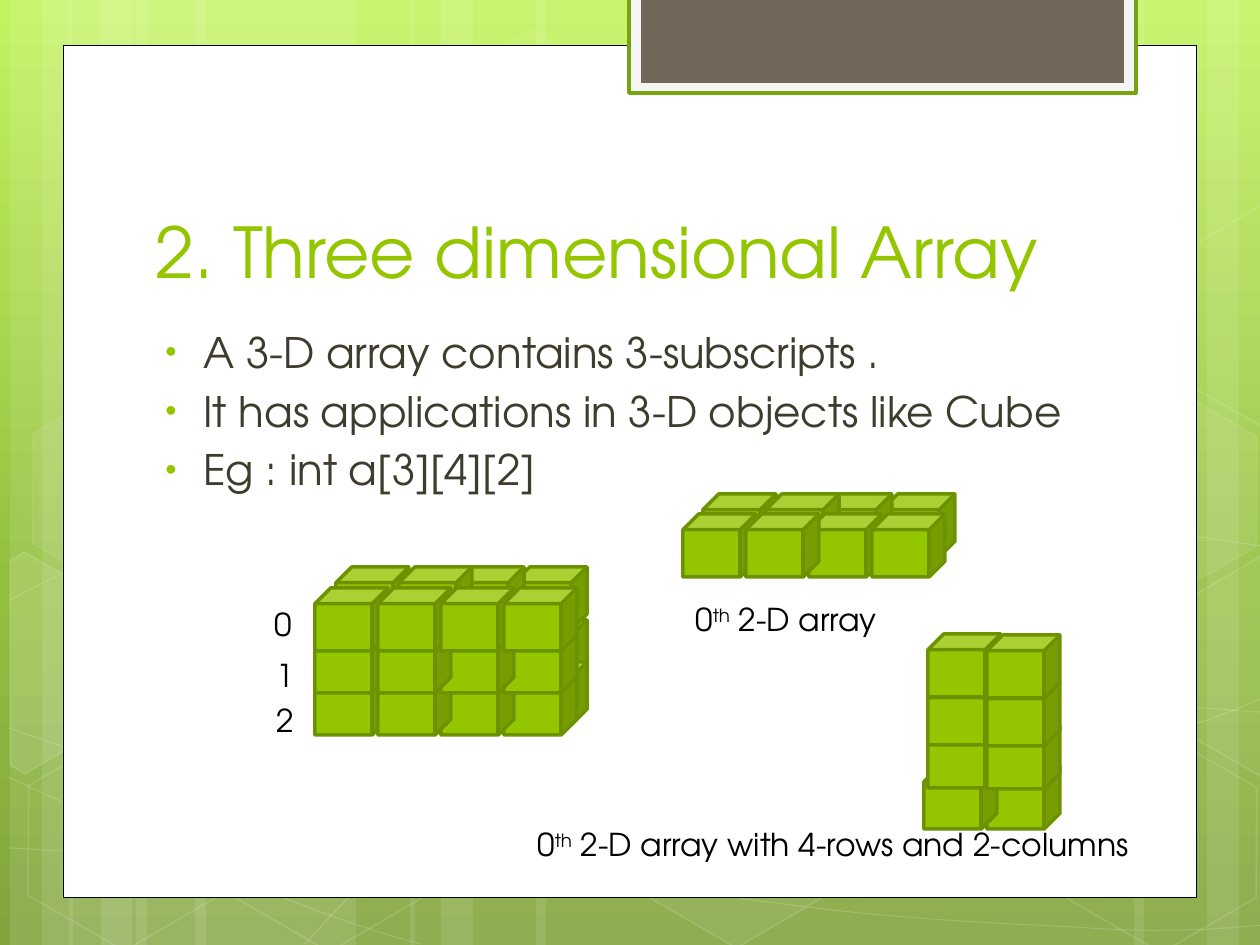
"""Build the three dimensional array slide."""
import copy
import dataclasses
import itertools
import math
import typing

import lxml.etree
import pptx
import pptx.dml.color
import pptx.enum.shapes
import pptx.enum.text
import pptx.oxml.ns
import pptx.util

PX = 914400 / 126
TILT = 30
SHAPE = pptx.enum.shapes.MSO_SHAPE
ANCHOR = pptx.enum.text.MSO_ANCHOR
Point = tuple[float, float]


@dataclasses.dataclass(frozen=True)
class Theme:
    """Colours, font and type sizes."""
    font: str = "TeX Gyre Adventor"
    title: float = 40
    body: float = 24
    label: float = 18
    green: str = "94C600"
    edge: str = "6D9200"
    frame: str = "74A510"
    taupe: str = "71685A"
    pale: str = "F5F5F5"
    ink: str = "3E3D2D"
    black: str = "000000"
    white: str = "FFFFFF"
    sky: tuple = ((0, "C3F35F"), (0.62, "93BF3F"), (1, "81A53E"))


class Box(typing.NamedTuple):
    """A rectangle in pixels."""
    x: int
    y: int
    w: int
    h: int


class Paint(typing.NamedTuple):
    """Fill and line, with opacities in percent."""
    fill: str | None = None
    line: str | None = None
    width: float = 1
    fill_alpha: int = 100
    line_alpha: int = 100


class Hexagon(typing.NamedTuple):
    """A tilted hexagon of the backdrop."""
    x: int
    y: int
    fill_alpha: int
    line_alpha: int


class CutHexagon(typing.NamedTuple):
    """A tilted hexagon trimmed at the slide edge."""
    center: Point
    pts: tuple
    fill_alpha: int


class Block(typing.NamedTuple):
    """Cubes at every crossing of the given columns and rows."""
    xs: tuple
    ys: tuple


class Label(typing.NamedTuple):
    """A caption and its place."""
    text: str
    box: Box


T = Theme()
BANDS = ((136, 220), (10, 63), (42, 105), (195, 220), (69, 63), (101, 105),
         (924, 220), (1207, 63), (1134, 105), (536, 388), (410, 63), (441, 105))
CURVES = (
    ((9, 848), (77, 852), (145, 856), (239, 854), (334, 853), (451, 850), (577, 838),
     (703, 825), (882, 802), (998, 777), (1113, 753), (1231, 716), (1269, 694)),
    ((9, 601), (45, 581), (82, 562), (152, 543), (224, 524), (326, 496), (437, 488),
     (549, 479), (685, 478), (824, 488), (963, 498), (1193, 537), (1269, 547)),
    ((8, 777), (160, 847), (311, 916), (421, 944)),
    ((9, 728), (48, 742), (88, 756), (161, 776), (234, 795), (344, 827), (450, 848),
     (554, 869), (687, 892), (791, 905), (896, 919), (1008, 924), (1075, 927),
     (1140, 932), (1158, 930), (1191, 930), (1223, 929), (1246, 926), (1269, 925)),
    ((305, 944), (328, 919), (350, 893), (381, 871), (411, 848), (454, 823), (489, 805),
     (524, 787), (545, 780), (592, 767), (638, 755), (722, 737), (766, 728),
     (811, 719), (818, 719), (857, 717), (896, 713), (958, 709), (1000, 708),
     (1045, 707), (1116, 708), (1116, 708), (1144, 708), (1173, 708), (1201, 708),
     (1223, 709), (1245, 712), (1256, 712), (1267, 712), (1264, 712), (1268, 713)),
)
HEXAGONS = (Hexagon(421, 45, 4, 8), Hexagon(626, 742, 6, 12), Hexagon(14, 745, 0, 12),
            Hexagon(18, 393, 7, 8), Hexagon(219, 746, 0, 12), Hexagon(949, 571, 10, 12),
            Hexagon(1051, 747, 0, 12), Hexagon(1051, 396, 7, 8))
CUT_HEXAGONS = (
    CutHexagon((45, 674), ((10, 561), (24, 552), (121, 607), (120, 718), (25, 774),
                           (10, 765)), 10),
    CutHexagon((1241, 655), ((1167, 611), (1261, 556), (1271, 562), (1271, 772),
                             (1263, 777), (1167, 722)), 4),
    CutHexagon((1241, 304), ((1167, 261), (1261, 205), (1272, 212), (1271, 422),
                             (1263, 427), (1167, 372)), 0),
)
BLOCKS = (
    Block((336,), (651, 609, 567)), Block((514,), (620,)),
    Block((315,), (672, 630, 588)), Block((514,), (662,)),
    Block((504, 441, 378), (672,)), Block((514, 451, 399), (567,)),
    Block((504, 441, 378), (630,)), Block((378, 441, 504), (588,)),
    Block((703,), (494,)), Block((683,), (514,)),
    Block((882, 819, 766), (494,)), Block((809, 872, 746), (514,)),
    Block((987, 924), (766,)), Block((928,), (725,)), Block((987,), (726,)),
    Block((928,), (682,)), Block((987,), (683,)),
    Block((928,), (634,)), Block((987,), (635,)),
)
LABELS = (Label("0", Box(262, 599, 43, 50)), Label("1", Box(264, 650, 43, 50)),
          Label("2", Box(264, 695, 43, 50)),
          Label("0^th^ 2-D array", Box(683, 594, 231, 50)),
          Label("0^th^ 2-D array with 4-rows and 2-columns", Box(525, 819, 646, 50)))
BULLETS = ("A 3-D array contains 3-subscripts .",
           "It has applications in 3-D objects like Cube", "Eg : int a[3][4][2]")


def rgb(color: str) -> pptx.dml.color.RGBColor:
    """Return a colour from its hex form."""
    return pptx.dml.color.RGBColor.from_string(color)


def emu(values: typing.Iterable[float]) -> list[int]:
    """Turn pixels into EMU."""
    return [round(v * PX) for v in values]


def sub(parent, tag: str, **attrs: str):
    """Append a drawing element."""
    return lxml.etree.SubElement(parent, pptx.oxml.ns.qn(tag), attrs)


def color_fill(fill, color: str, alpha: int, parent) -> None:
    """Set a solid fill with an opacity."""
    fill.solid()
    fill.fore_color.rgb = rgb(color)
    if alpha < 100:
        clr = parent.find(pptx.oxml.ns.qn("a:solidFill"))[0]
        sub(clr, "a:alpha", val=str(alpha * 1000))


def paint(sp, look: Paint) -> None:
    """Apply fill and line to a shape."""
    sp.shadow.inherit = False
    if look.fill and look.fill_alpha:
        color_fill(sp.fill, look.fill, look.fill_alpha, sp._element.spPr)
    else:
        sp.fill.background()
    if look.line:
        sp.line.width = pptx.util.Pt(look.width)
        color_fill(sp.line.fill, look.line, look.line_alpha, sp.line._ln)
    else:
        sp.line.fill.background()


def add_shape(s, kind, box: Box, look: Paint):
    """Draw a preset shape."""
    sp = s.shapes.add_shape(kind, *emu(box))
    paint(sp, look)
    return sp


def add_outline(s, pts: typing.Sequence[Point], look: Paint, close: bool):
    """Draw a freeform through points."""
    start, *rest = [tuple(emu(pt)) for pt in pts]
    fb = s.shapes.build_freeform(*start)
    fb.add_line_segments(rest, close)
    sp = fb.convert_to_shape()
    paint(sp, look)
    return sp


def add_curve(s, nodes: typing.Sequence[Point], look: Paint) -> None:
    """Draw a chain of cubic curves."""
    sp = add_outline(s, nodes, look, False)
    lines = list(sp._element.iter(pptx.oxml.ns.qn("a:lnTo")))
    outline = lines[0].getparent()
    for i in range(0, len(lines), 3):
        curve = sub(outline, "a:cubicBezTo")
        for line in lines[i:i + 3]:
            curve.append(line[0])
            outline.remove(line)


def turn(pt: Point, center: Point, degrees: float) -> Point:
    """Rotate a point about a center."""
    a = math.radians(degrees)
    dx, dy = pt[0] - center[0], pt[1] - center[1]
    return (center[0] + dx * math.cos(a) - dy * math.sin(a),
            center[1] + dx * math.sin(a) + dy * math.cos(a))


def write(sp, *lines: str, size: float, color: str, anchor=ANCHOR.TOP,
          bullet: bool = False) -> None:
    """Write paragraphs, with superscripts between carets."""
    tf = sp.text_frame
    tf.word_wrap, tf.vertical_anchor = True, anchor
    tf.auto_size = pptx.enum.text.MSO_AUTO_SIZE.NONE
    for i, line in enumerate(lines):
        p = tf.paragraphs[0] if i == 0 else tf.add_paragraph()
        p.alignment = pptx.enum.text.PP_ALIGN.LEFT
        if bullet:
            ppr = p._p.get_or_add_pPr()
            ppr.set("marL", str(round(48 * PX)))
            ppr.set("indent", str(round(-38 * PX)))
            sub(sub(ppr, "a:spcBef"), "a:spcPct", val="20000")
            sub(sub(ppr, "a:buClr"), "a:srgbClr", val=T.green)
            sub(ppr, "a:buSzPct", val="76000")
            sub(ppr, "a:buFont", typeface="Arial")
            sub(ppr, "a:buChar", char="•")
        for j, part in enumerate(line.split("^")):
            r = p.add_run()
            r.text, r.font.name, r.font.size = part, T.font, pptx.util.Pt(size)
            r.font.color.rgb = rgb(color)
            if j % 2:
                r.font._element.set("baseline", "30000")


def backdrop(s) -> None:
    """Draw the gradient, bands, curves, hexagons and panel."""
    fill = s.background.fill
    fill.gradient()
    fill.gradient_angle = 270
    stops = next(s._element.iter(pptx.oxml.ns.qn("a:gsLst")))
    stops.append(copy.deepcopy(stops[-1]))
    for stop, (pos, color) in zip(fill.gradient_stops, T.sky):
        stop.position, stop.color.rgb = pos, rgb(color)
    for x, w in BANDS:
        add_shape(s, SHAPE.RECTANGLE, Box(x, 0, w, 945), Paint(T.white, fill_alpha=10))
    for nodes in CURVES:
        add_curve(s, nodes, Paint(None, T.white, 0.5, line_alpha=20))
    for h in HEXAGONS:
        sp = add_shape(s, SHAPE.HEXAGON, Box(h.x, h.y, 220, 191),
                       Paint(T.white, T.white, 1, h.fill_alpha, h.line_alpha))
        sp.adjustments[0], sp.rotation = 0.285, TILT
    for c in CUT_HEXAGONS:
        pts = [turn(pt, c.center, -TILT) for pt in c.pts]
        sp = add_outline(s, pts, Paint(T.white, T.white, 1, c.fill_alpha, 12), True)
        sp.rotation = TILT
    for box, look in ((Box(63, 45, 1134, 853), Paint(T.white, T.black, 0.5)),
                      (Box(629, -2, 507, 95), Paint(T.pale, T.frame, 2)),
                      (Box(641, -2, 483, 85), Paint(T.taupe))):
        add_shape(s, SHAPE.RECTANGLE, box, look)


def main() -> None:
    """Build and save the slide."""
    prs = pptx.Presentation()
    prs.slide_width, prs.slide_height = emu((1260, 945))
    s = prs.slides.add_slide(prs.slide_layouts[5])
    backdrop(s)
    title = s.shapes.title
    title.left, title.top, title.width, title.height = emu(Box(143, 141, 968, 158))
    s.shapes._spTree.append(title._element)
    write(title, "2. Three dimensional Array", size=T.title, color=T.green,
          anchor=ANCHOR.BOTTOM)
    body = s.shapes.add_textbox(*emu(Box(143, 320, 934, 484)))
    write(body, *BULLETS, size=T.body, color=T.ink, bullet=True)
    for block in BLOCKS:
        for x, y in itertools.product(block.xs, block.ys):
            add_shape(s, SHAPE.CUBE, Box(x, y, 73, 63), Paint(T.green, T.edge, 2))
    for label in LABELS:
        write(s.shapes.add_textbox(*emu(label.box)), label.text,
              size=T.label, color=T.black)
    prs.save("out.pptx")


main()
